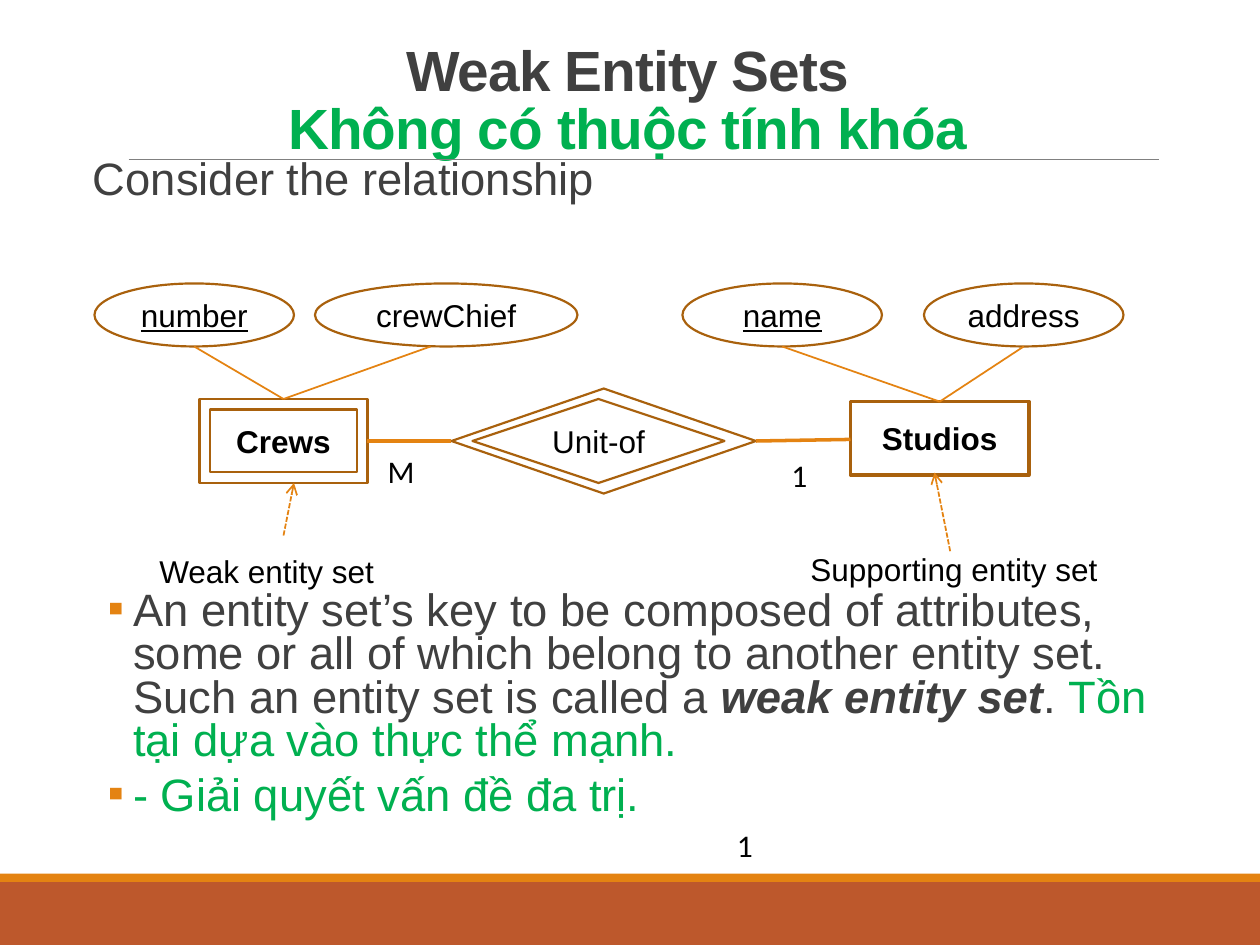
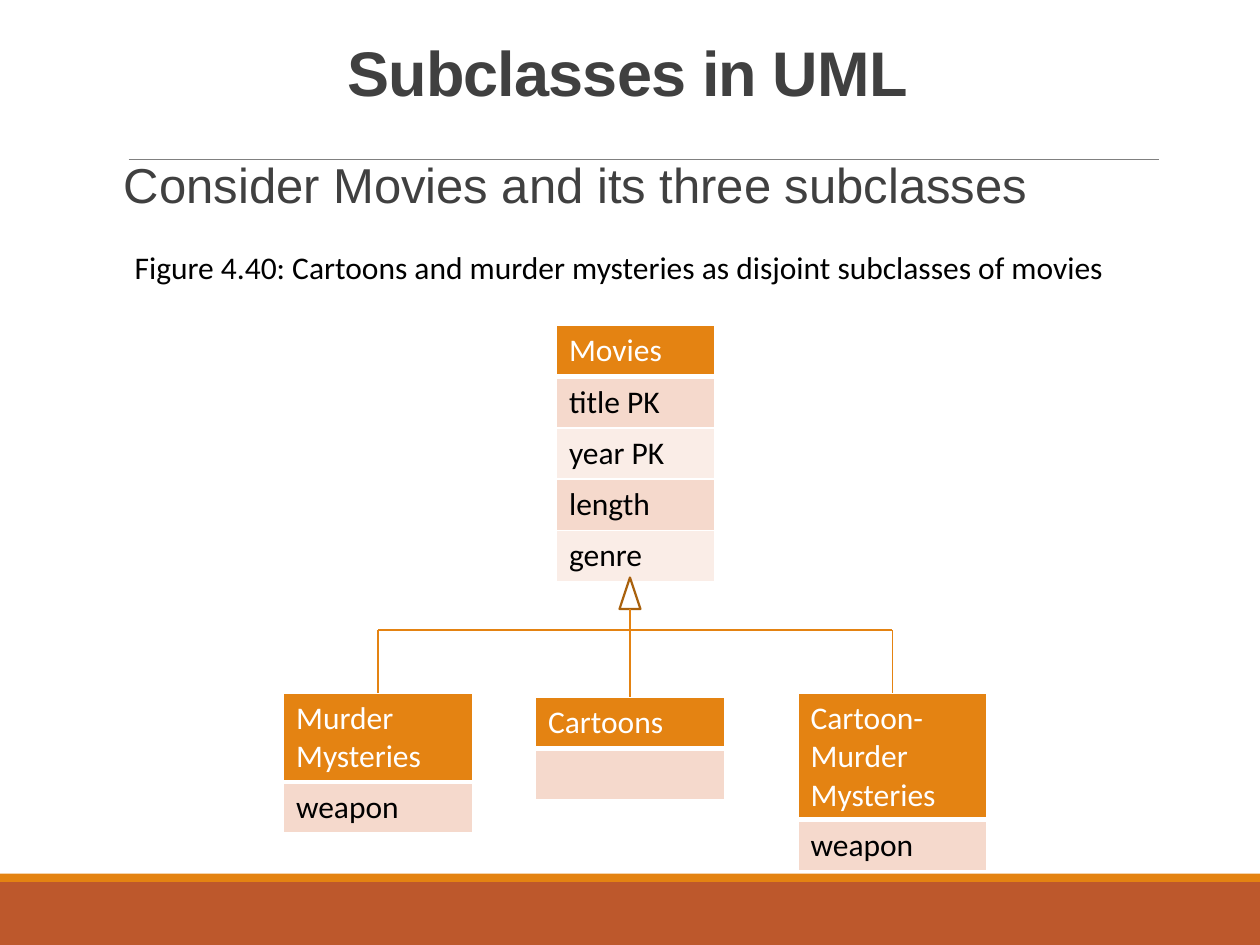
from dataclasses import dataclass

from lxml.etree import SubElement
from pptx import Presentation
from pptx.dml.color import RGBColor
from pptx.enum.dml import MSO_LINE_DASH_STYLE as Dash
from pptx.enum.shapes import MSO_CONNECTOR, MSO_SHAPE as Preset
from pptx.enum.text import MSO_ANCHOR as Anchor, MSO_AUTO_SIZE as AutoSize, PP_ALIGN as Align
from pptx.oxml.ns import qn
from pptx.util import Inches, Pt

BRICK = RGBColor(0xBD, 0x58, 0x2C)
ORANGE = RGBColor(0xE4, 0x83, 0x12)
BROWN = RGBColor(0xA9, 0x61, 0x0D)
GREEN = RGBColor(0x00, 0xB0, 0x50)
CHARCOAL = RGBColor(0x40, 0x40, 0x40)
GRAY = RGBColor(0x80, 0x80, 0x80)
BLACK = RGBColor(0x00, 0x00, 0x00)
WHITE = RGBColor(0xFF, 0xFF, 0xFF)
PEACH = RGBColor(0xF5, 0xD9, 0xCC)
PALE = RGBColor(0xFA, 0xED, 0xE7)

CELL = Inches(1) // 12
COLUMNS, ROWS = 120, 90
TABLE_ROW, EXTRA_LINE = 4.88, 3.6
SUBCLASS_WIDTH = 18


def cells(count):
    """Turn a number of grid cells into a length."""
    return round(count * CELL)


def add_span(para, text, size, font="Arial", color=BLACK, **styles):
    """Append one formatted run to a paragraph."""
    span = para.add_run()
    span.text = text
    span.font.name, span.font.size = font, Pt(size)
    span.font.color.rgb = color
    for style, value in styles.items():
        setattr(span.font, style, value)
    return span


@dataclass
class Region:
    """A part of a page whose shapes are placed in cells from its corner."""
    page: object
    left: float = 0
    top: float = 0

    def point(self, column, row):
        """Return the slide position of a grid point."""
        return cells(self.left + column), cells(self.top + row)

    def place(self, column, row, width, height):
        """Return the slide position and size of a grid box."""
        return *self.point(column, row), cells(width), cells(height)

    def shape(self, preset, box, fill=None, line=None, weight=1.25):
        """Add a preset shape without shadow."""
        shape = self.page.shapes.add_shape(preset, *self.place(*box))
        shape.shadow.inherit = False
        if fill is None:
            shape.fill.background()
        else:
            shape.fill.solid()
            shape.fill.fore_color.rgb = fill
        if line is None:
            shape.line.fill.background()
        else:
            shape.line.color.rgb = line
            shape.line.width = Pt(weight)
        return shape

    def node(self, preset, box, text, weight=1.25, **styles):
        """Add an outlined shape with a centred name."""
        shape = self.shape(preset, box, line=BROWN, weight=weight)
        frame = shape.text_frame
        frame.vertical_anchor = Anchor.MIDDLE
        frame.margin_left = frame.margin_right = 0
        frame.word_wrap = True
        frame.paragraphs[0].alignment = Align.CENTER
        add_span(frame.paragraphs[0], text, 18, **styles)

    def line(self, start, end, weight=1, color=ORANGE, dashed_arrow=False):
        """Add a straight line, or a dashed arrow, between two points."""
        line = self.page.shapes.add_connector(
            MSO_CONNECTOR.STRAIGHT, *self.point(*start), *self.point(*end))
        line.line.color.rgb = color
        line.line.width = Pt(weight)
        properties = line._element.spPr
        if dashed_arrow:
            line.line.dash_style = Dash.SQUARE_DOT
            SubElement(properties.find(qn("a:ln")), qn("a:tailEnd"), type="arrow")
        SubElement(properties, qn("a:effectLst"))

    def text_box(self, box, wrap=True):
        """Add an empty text box and return its frame."""
        frame = self.page.shapes.add_textbox(*self.place(*box)).text_frame
        frame.word_wrap = wrap
        return frame

    def label(self, column, row, width, text, font="Arial", wrap=False):
        """Add a one-line label."""
        frame = self.text_box((column, row, width, 4.8), wrap)
        add_span(frame.paragraphs[0], text, 18, font)


def add_page(deck, title_lines, size):
    """Add a page with its bands, title rule and centred title."""
    page = deck.slides.add_slide(deck.slide_layouts[5])
    grid = Region(page)
    grid.shape(Preset.RECTANGLE, (0, 84, COLUMNS, 6), fill=BRICK)
    grid.shape(Preset.RECTANGLE, (0, 83.2, COLUMNS, 0.8), fill=ORANGE)
    grid.line((12.25, 15.15), (110.4, 15.15), 0.5, GRAY)
    title = page.shapes.title
    title.left, title.top, title.width, title.height = grid.place(7.65, 3.7, 104.2, 11)
    frame = title.text_frame
    frame.auto_size = AutoSize.NONE
    frame.vertical_anchor = Anchor.TOP
    para = frame.paragraphs[0]
    para.alignment, para.line_spacing = Align.CENTER, 0.85
    for index, (text, color) in enumerate(title_lines):
        if index:
            para.add_line_break()
        span = add_span(para, text, size, color=color, bold=True)
        span.font._element.set("spc", "-50")
    return page


def add_lead(region, text, size, spacing):
    """Add the opening sentence below the title rule."""
    frame = region.text_box((0, 0, 104, 6))
    frame.margin_left = frame.margin_right = 0
    para = frame.paragraphs[0]
    para.line_spacing = spacing
    add_span(para, text, size, color=CHARCOAL)


def add_bullets(region, bullets):
    """Add square-bulleted paragraphs given as lists of styled runs."""
    frame = region.text_box((0, 0, 104.2, 25))
    frame.margin_left = frame.margin_right = 0
    for index, spans in enumerate(bullets):
        para = frame.add_paragraph() if index else frame.paragraphs[0]
        properties = para._p.get_or_add_pPr()
        properties.set("marL", str(Inches(0.42)))
        properties.set("indent", str(-Inches(0.2)))
        tint = SubElement(properties, qn("a:buClr"))
        SubElement(tint, qn("a:srgbClr"), val=str(ORANGE))
        SubElement(properties, qn("a:buFont"), typeface="Calibri")
        SubElement(properties, qn("a:buChar"), char="▪")
        para.line_spacing = 0.8
        para.space_before, para.space_after = Pt(2 if index else 0), Pt(4)
        for text, color, styles in spans:
            add_span(para, text, 25.9, color=color, **styles)


def add_crew_diagram(region):
    """Draw the weak entity set Crews supported by Studios."""
    crews, studios = (18, 11), (80.5, 11.25)
    region.shape(Preset.RECTANGLE, (10, 11, 16, 8), line=BROWN)
    region.shape(Preset.DIAMOND, (34, 10, 29, 10), line=BROWN)
    region.node(Preset.RECTANGLE, (11, 12, 14, 6), "Crews", bold=True)
    region.node(Preset.DIAMOND, (36, 11, 24, 8), "Unit-of")
    region.node(Preset.RECTANGLE, (72, 11.25, 17, 7), "Studios", 2, bold=True)
    region.line((26, 15), (34, 15), 2)
    region.line((63, 15), (72, 14.85), 2)
    attributes = [
        ("number", 0, 19, 9.5, crews, True),
        ("crewChief", 21, 25, 32, crews, False),
        ("name", 56, 19, 65.5, studios, True),
        ("address", 79, 19, 88.5, studios, False),
    ]
    for name, column, width, foot, entity, is_key in attributes:
        region.node(Preset.OVAL, (column, 0, width, 6), name, underline=is_key)
        region.line((foot, 6), entity)
    region.label(5, 25, 23, "Weak entity set")
    region.line((18, 24), (19, 19), dashed_arrow=True)
    region.label(67, 24.75, 30, "Supporting entity set")
    region.line((81.5, 25.5), (80, 18), dashed_arrow=True)
    region.label(26.75, 15.5, 5.5, "M", "Calibri", True)
    region.label(65.2, 15.85, 5.5, "1", "Calibri", True)


def set_borders(cell, bottom):
    """Give a table cell white borders."""
    properties = cell._tc.get_or_add_tcPr()
    for index, (side, weight) in enumerate(
            (("L", 1), ("R", 1), ("T", 1), ("B", bottom))):
        border = properties.makeelement(qn(f"a:ln{side}"), {"w": str(Pt(weight))})
        fill = SubElement(border, qn("a:solidFill"))
        SubElement(fill, qn("a:srgbClr"), val=str(WHITE))
        properties.insert(index, border)


def add_class_table(region, column, row, width, entries, header_lines=1):
    """Add a UML class as a table of its name and attributes."""
    header = TABLE_ROW + EXTRA_LINE * (header_lines - 1)
    height = header + TABLE_ROW * (len(entries) - 1)
    table = region.page.shapes.add_table(
        len(entries), 1, *region.place(column, row, width, height)).table
    for index, text in enumerate(entries):
        table.rows[index].height = cells(TABLE_ROW if index else header)
        cell = table.cell(index, 0)
        cell.fill.solid()
        cell.fill.fore_color.rgb = (PEACH if index % 2 else PALE) if index else ORANGE
        set_borders(cell, 1 if index else 3)
        para = cell.text_frame.paragraphs[0]
        if text:
            add_span(para, text, 18, "Calibri", BLACK if index else WHITE, bold=False)
        else:
            para.font.size = Pt(18)


def add_movie_classes(region):
    """Draw the Movies class with its subclass tree."""
    add_class_table(region, 26, 0, 15.1,
                    ["Movies", "title PK", "year PK", "length", "genre"])
    subclasses = [
        (0, 35, ["Murder Mysteries", "weapon"], 2),
        (24, 35.4, ["Cartoons", ""], 1),
        (49, 35, ["Cartoon-Murder Mysteries", "weapon"], 3),
    ]
    bus = 29
    centers = [column + SUBCLASS_WIDTH / 2 for column, *_ in subclasses]
    for center, (column, row, entries, header_lines) in zip(centers, subclasses):
        add_class_table(region, column, row, SUBCLASS_WIDTH, entries, header_lines)
        region.line((center, bus), (center, row))
    region.line((centers[0], bus), (centers[-1], bus))
    region.shape(Preset.ISOSCELES_TRIANGLE, (centers[1] - 1, 24, 2, 3), line=BROWN)
    region.line((centers[1], 27), (centers[1], bus))


def build_weak_entity_page(deck):
    """Build the page on weak entity sets."""
    page = add_page(deck, [("Weak Entity Sets", CHARCOAL),
                           ("Không có thuộc tính khóa", GREEN)], 32.4)
    add_lead(Region(page, 8.85, 14.75), "Consider the relationship", 25.9, 0.8)
    add_bullets(Region(page, 7.65, 55.75), [
        [("An entity set’s key to be composed of attributes, some or all of which "
          "belong to another entity set. Such an entity set is called a ", CHARCOAL, {}),
         ("weak entity set", CHARCOAL, {"bold": True, "italic": True}),
         (". ", CHARCOAL, {}),
         ("Tồn tại dựa vào thực thể mạnh.", GREEN, {})],
        [("- Giải quyết vấn đề đa trị.", GREEN, {})],
    ])
    add_crew_diagram(Region(page, 9, 27))
    Region(page).label(69, 78.1, 5.5, "1", "Calibri", True)


def build_subclass_page(deck):
    """Build the page on subclasses in UML."""
    page = add_page(deck, [("Subclasses in UML", CHARCOAL)], 36)
    add_lead(Region(page, 11.8, 14.75), "Consider Movies and its three subclasses", 28, 0.9)
    Region(page).label(11.65, 23, 95.8, "Figure 4.40: Cartoons and murder mysteries "
                       "as disjoint subclasses of movies", "Calibri")
    add_movie_classes(Region(page, 27, 31))


def main():
    """Build and save the deck."""
    deck = Presentation()
    deck.slide_width, deck.slide_height = cells(COLUMNS), cells(ROWS)
    build_weak_entity_page(deck)
    build_subclass_page(deck)
    deck.save("out.pptx")


if __name__ == "__main__":
    main()
